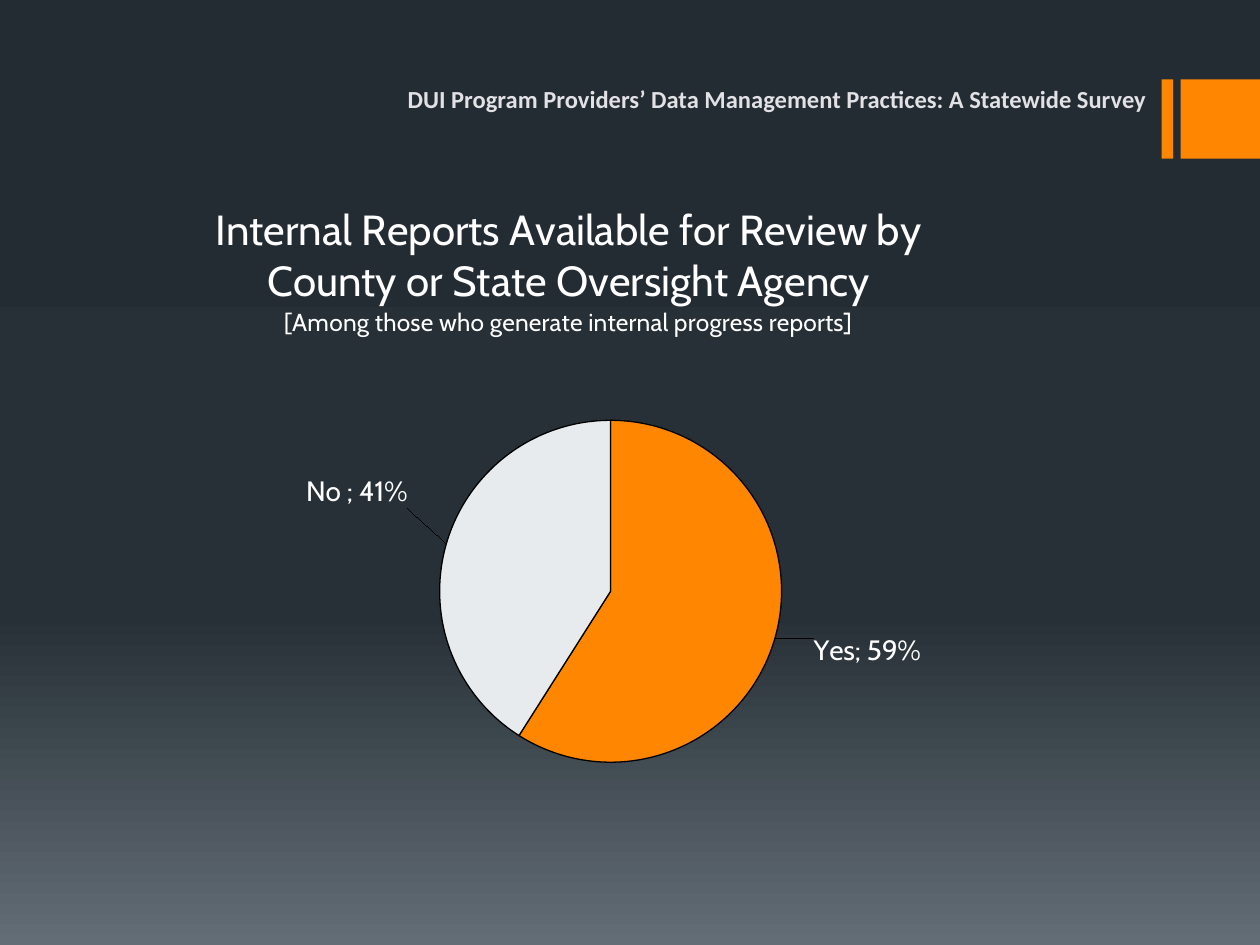
from lxml.etree import SubElement, fromstring
from pptx import Presentation
from pptx.chart.data import CategoryChartData
from pptx.dml.color import RGBColor
from pptx.enum.chart import XL_CHART_TYPE, XL_LABEL_POSITION
from pptx.enum.shapes import MSO_SHAPE
from pptx.enum.text import PP_ALIGN
from pptx.oxml.ns import nsdecls, qn
from pptx.util import Inches, Pt

ORANGE, PALE, WHITE = "FF8600", "E7EBEE", "FFFFFF"


def style_font(font, name, size, color, bold=False):
    """Set the typeface, point size, colour and weight of a font."""
    font.name, font.size, font.bold = name, Pt(size), bold
    font.color.rgb = RGBColor.from_string(color)


def set_layout(parent, position, modes, **shares):
    """Give a chart part a manual layout in shares of the chart's size."""
    for old_layout in parent.findall(qn("c:layout")):
        parent.remove(old_layout)
    values = "".join(f'<c:{key} val="{share}"/>' for key, share in shares.items())
    parent.insert(position, fromstring(
        f'<c:layout {nsdecls("c")}><c:manualLayout>{modes}{values}'
        '</c:manualLayout></c:layout>'))


presentation = Presentation()
presentation.slide_width, presentation.slide_height = Inches(10), Inches(7.5)
slide = presentation.slides.add_slide(presentation.slide_layouts[6])

# Background
stops = "".join(
    f'<a:gs pos="{share * 1000}"><a:srgbClr val="{color}"/></a:gs>'
    for share, color in [(0, "242C33"), (65, "273037"), (100, "636D76")])
slide.background.fill.solid()
background = slide.element.find(".//" + qn("p:bgPr"))
background.replace(background[0], fromstring(
    f'<a:gradFill {nsdecls("a")} rotWithShape="1"><a:gsLst>{stops}</a:gsLst>'
    '<a:lin ang="5400000" scaled="0"/></a:gradFill>'))

# Corner bars
for left, width in [(9.22, 0.09), (9.37, 0.63)]:
    bar = slide.shapes.add_shape(MSO_SHAPE.RECTANGLE, Inches(left), Inches(0.63),
                                 Inches(width), Inches(0.63))
    bar.shadow.inherit = False
    bar.fill.solid()
    bar.fill.fore_color.rgb = RGBColor.from_string(ORANGE)
    bar.line.fill.background()

# Survey name
header = slide.shapes.add_textbox(Inches(1.67), Inches(0.67), Inches(7.53), Inches(0.33))
header.text_frame.word_wrap = True
header.text_frame.margin_top = 0
paragraph = header.text_frame.paragraphs[0]
paragraph.alignment = PP_ALIGN.RIGHT
run = paragraph.add_run()
run.text = "DUI Program Providers’ Data Management Practices: A Statewide Survey"
style_font(run.font, "Calibri", 14, "E2E1E5", True)

# Pie chart
chart_data = CategoryChartData(number_format="0%")
chart_data.categories = ["Yes", "No "]
chart_data.add_series("Series 1", [0.59, 0.41])
chart = slide.shapes.add_chart(XL_CHART_TYPE.PIE, Inches(0.67), Inches(1.42),
                               Inches(8.42), Inches(5.25), chart_data).chart
chart.has_legend = False
style_font(chart.font, "Arial", 10, WHITE)
plot = chart.plots[0]
plot.vary_by_categories = True
edges = '<c:xMode val="edge"/><c:yMode val="edge"/>'
plot_area = chart.element.find(".//" + qn("c:plotArea"))
set_layout(plot_area, 0, '<c:layoutTarget val="inner"/>' + edges,
           x=0.303, y=0.365, w=0.386, h=0.517)

# Chart title
title_frame = chart.chart_title.text_frame
title_lines = [
    ("Internal Reports Available for Review by County or State Oversight Agency", 24),
    ("[Among those who generate internal progress reports]", 14)]
for index, (text, size) in enumerate(title_lines):
    paragraph = title_frame.add_paragraph() if index else title_frame.paragraphs[0]
    paragraph.alignment = PP_ALIGN.CENTER
    run = paragraph.add_run()
    run.text = text
    style_font(run.font, "Cabin", size, WHITE)
title = chart.element.find(".//" + qn("c:title"))
set_layout(title, 1, edges, x=0.12, y=0.03)
for old_overlay in title.findall(qn("c:overlay")):
    title.remove(old_overlay)
title.insert(2, fromstring(f'<c:overlay {nsdecls("c")} val="1"/>'))

# Slices and their labels, each label shifted from its place outside the pie
series = plot.series[0]
slices = [(ORANGE, 0.03, -0.01), (PALE, -0.03, -0.05)]
for index, (color, shift_x, shift_y) in enumerate(slices):
    point = series.points[index]
    point.format.fill.solid()
    point.format.fill.fore_color.rgb = RGBColor.from_string(color)
    point.format.line.color.rgb = RGBColor.from_string("000000")
    point.format.line.width = Pt(0.75)
    style_font(point.data_label.font, "Cabin", 16, WHITE)
    point.data_label.position = XL_LABEL_POSITION.OUTSIDE_END

labels = series.data_labels
labels.show_value = labels.show_category_name = True
labels.number_format, labels.number_format_is_linked = "0%", False
labels.position = XL_LABEL_POSITION.OUTSIDE_END
style_font(labels.font, "Cabin", 16, WHITE)
label_group = series.data_labels._element
for label, (color, shift_x, shift_y) in zip(label_group.findall(qn("c:dLbl")), slices):
    set_layout(label, 1, "", x=shift_x, y=shift_y)
    label.insert(2, fromstring(
        f'<c:numFmt {nsdecls("c")} formatCode="0%" sourceLinked="0"/>'))
    label.find(qn("c:showCatName")).set("val", "1")
leader_lines = label_group.find(qn("c:showLeaderLines"))
if leader_lines is None:
    leader_lines = SubElement(label_group, qn("c:showLeaderLines"))
leader_lines.set("val", "1")

presentation.save("out.pptx")
